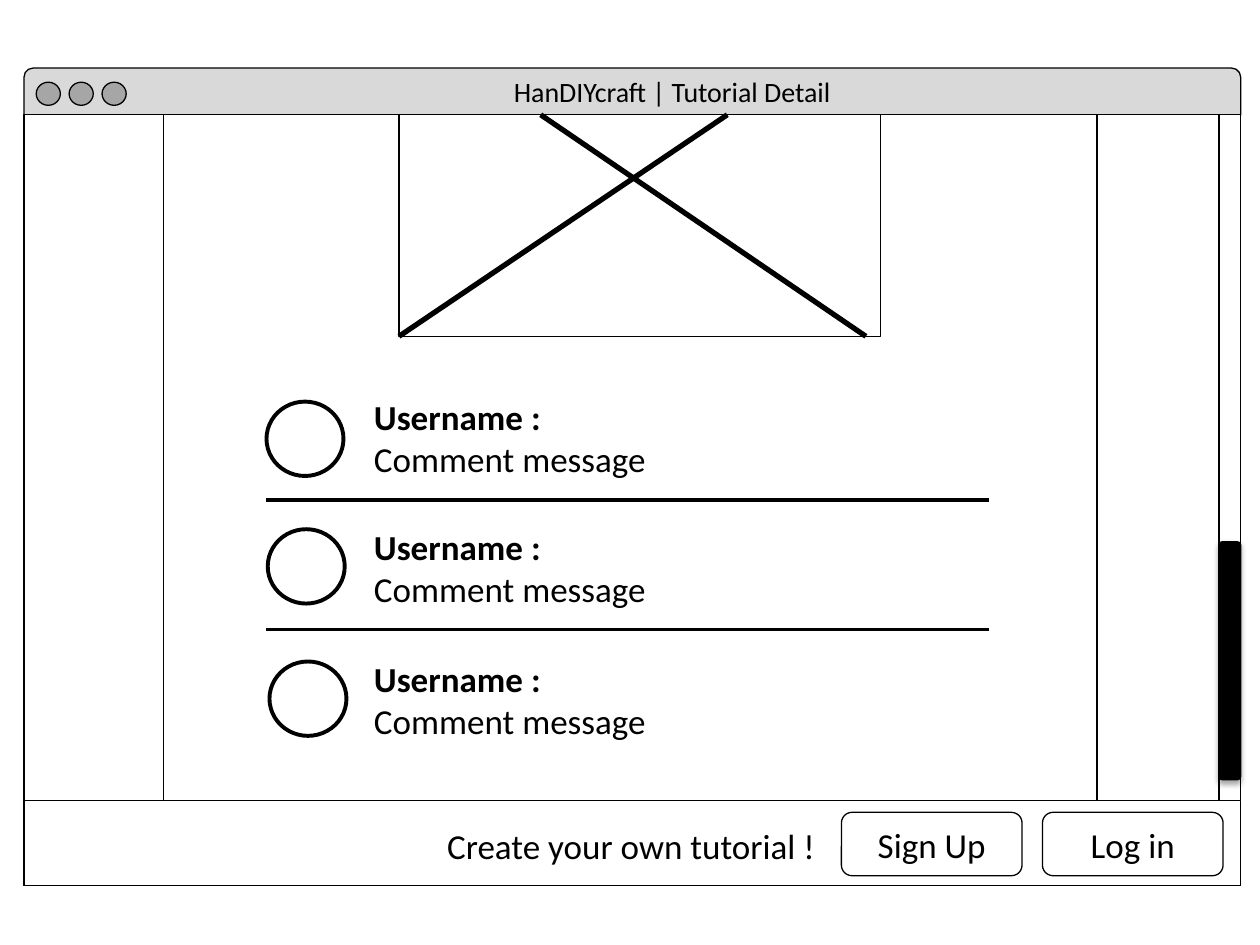
from lxml import etree
from pptx import Presentation
from pptx.dml.color import RGBColor
from pptx.enum.shapes import MSO_CONNECTOR, MSO_SHAPE
from pptx.enum.text import MSO_ANCHOR, MSO_AUTO_SIZE, PP_ALIGN
from pptx.oxml import parse_xml
from pptx.oxml.ns import qn
from pptx.util import Pt

RECT, ROUND, OVAL = MSO_SHAPE.RECTANGLE, MSO_SHAPE.ROUNDED_RECTANGLE, MSO_SHAPE.OVAL
STRAIGHT = MSO_CONNECTOR.STRAIGHT
TOP, MIDDLE = MSO_ANCHOR.TOP, MSO_ANCHOR.MIDDLE
LEFT, CENTER = PP_ALIGN.LEFT, PP_ALIGN.CENTER
GROW = MSO_AUTO_SIZE.SHAPE_TO_FIT_TEXT

# Content
WINDOW_TITLE = "HanDIYcraft | Tutorial Detail"
INVITATION = "Create your own tutorial !"
BUTTONS = ["Sign Up", "Log in"]
# (username, message, text top, avatar left, avatar top)
COMMENTS = [
    ("Username :", "Comment message", 222.5, 152.3, 229.5),
    ("Username :", "Comment message", 296.9, 153, 302.4),
    ("Username :", "Comment message", 372.2, 154, 378),
]


class Theme:
    font = "Calibri"
    title_size, body_size = 16, 20
    ink = RGBColor(0, 0, 0)
    paper = RGBColor(255, 255, 255)
    bar = RGBColor(0xD9, 0xD9, 0xD9)
    dot = RGBColor(0xA6, 0xA6, 0xA6)
    thin, rule, avatar, cross = 0.75, 2, 2.25, 3


# Layout, in points
WINDOW_LEFT, WINDOW_TOP, WINDOW_WIDTH, WINDOW_HEIGHT = 13.7, 65.6, 695.3, 440.4
WINDOW_RIGHT = WINDOW_LEFT + WINDOW_WIDTH
BAR_TOP = 38.9
SCROLL_WIDTH = 12.4
SCROLL_LEFT = WINDOW_RIGHT - SCROLL_WIDTH
FOOTER_TOP = 457.3
FOOTER_HEIGHT = WINDOW_TOP + WINDOW_HEIGHT - FOOTER_TOP
DOT_LEFT, DOT_PITCH = 20.7, 18.8
BUTTON_LEFT, BUTTON_PITCH = 480.8, 114.9
PHOTO_LEFT, PHOTO_WIDTH, PHOTO_HEIGHT = 228, 275.3, 126.6
PHOTO_BOTTOM = WINDOW_TOP + PHOTO_HEIGHT
RULE_TOPS = [285.8, 359.8]


def add_shape(slide, kind, left, top, width, height, fill=None, line=Theme.thin):
    shape = slide.shapes.add_shape(kind, Pt(left), Pt(top), Pt(width), Pt(height))
    shape.shadow.inherit = False
    if fill is None:
        shape.fill.background()
    else:
        shape.fill.solid()
        shape.fill.fore_color.rgb = fill
    shape.line.color.rgb = Theme.ink
    shape.line.width = Pt(line)
    return shape


def add_line(slide, x1, y1, x2, y2, width):
    line = slide.shapes.add_connector(STRAIGHT, Pt(x1), Pt(y1), Pt(x2), Pt(y2))
    line.line.color.rgb = Theme.ink
    line.line.width = Pt(width)
    etree.SubElement(line.element.spPr, qn("a:effectLst"))


def write(shape, lines, size=Theme.body_size, align=LEFT, anchor=TOP, bold_first=False):
    frame = shape.text_frame
    frame.word_wrap = True
    frame.vertical_anchor = anchor
    frame.text = "\n".join(lines)
    for index, paragraph in enumerate(frame.paragraphs):
        paragraph.alignment = align
        font = paragraph.font
        font.name, font.size = Theme.font, Pt(size)
        font.bold = bold_first and index == 0
        font.color.rgb = Theme.ink


def add_text(slide, left, top, width, height, lines, **style):
    box = slide.shapes.add_textbox(Pt(left), Pt(top), Pt(width), Pt(height))
    write(box, lines, **style)
    box.text_frame.auto_size = GROW


def add_soft_shadow(shape):
    effects = shape.element.spPr.find(qn("a:effectLst"))
    effects.append(parse_xml(
        '<a:outerShdw xmlns:a="http://schemas.openxmlformats.org/drawingml/2006/main"'
        ' blurRad="40000" dist="23000" dir="5400000" rotWithShape="0">'
        '<a:srgbClr val="000000"><a:alpha val="35000"/></a:srgbClr></a:outerShdw>'))


def add_window(slide):
    bar = add_shape(slide, ROUND, WINDOW_LEFT, BAR_TOP, WINDOW_WIDTH, 31.7, Theme.bar)
    add_shape(slide, RECT, WINDOW_LEFT, WINDOW_TOP, WINDOW_WIDTH, WINDOW_HEIGHT, Theme.paper)
    for index in range(3):
        add_shape(slide, OVAL, DOT_LEFT + index * DOT_PITCH, 47, 13.8, 13.2, Theme.dot)
    add_shape(slide, RECT, 93.4, WINDOW_TOP, 533.5, WINDOW_HEIGHT, Theme.paper)
    add_shape(slide, RECT, SCROLL_LEFT, WINDOW_TOP, SCROLL_WIDTH, WINDOW_HEIGHT, Theme.paper)
    thumb = add_shape(slide, ROUND, SCROLL_LEFT, 309.6, SCROLL_WIDTH, 136, Theme.ink)
    add_soft_shadow(thumb)

    title = slide.shapes.title
    title.left, title.top, title.width, title.height = Pt(286.4), Pt(38.9), Pt(235.4), Pt(26.7)
    write(title, [WINDOW_TITLE], size=Theme.title_size)
    title.text_frame.auto_size = GROW
    bar.element.addnext(title.element)  # the title sits in front of the bar


def add_comments(slide):
    for username, message, text_top, avatar_left, avatar_top in COMMENTS:
        add_text(slide, 206.6, text_top, 240, 55.7, [username, message], bold_first=True)
        add_shape(slide, OVAL, avatar_left, avatar_top, 44, 42.5, line=Theme.avatar)
    for top in RULE_TOPS:
        add_line(slide, 152.3, top, 565.2, top, Theme.rule)


def add_footer(slide):
    add_shape(slide, RECT, WINDOW_LEFT, FOOTER_TOP, WINDOW_WIDTH, FOOTER_HEIGHT, Theme.paper)
    add_text(slide, 248.4, 467.6, 246.2, 31.5, [INVITATION])
    for index, label in enumerate(BUTTONS):
        left = BUTTON_LEFT + index * BUTTON_PITCH
        button = add_shape(slide, ROUND, left, 464.2, 103.2, 36.2)
        write(button, [label], align=CENTER, anchor=MIDDLE)


def add_photo_placeholder(slide):
    add_shape(slide, RECT, PHOTO_LEFT, WINDOW_TOP, PHOTO_WIDTH, PHOTO_HEIGHT)
    add_line(slide, 309, WINDOW_TOP, 494.8, PHOTO_BOTTOM, Theme.cross)
    add_line(slide, PHOTO_LEFT, PHOTO_BOTTOM, 415.6, WINDOW_TOP, Theme.cross)


def main():
    deck = Presentation()
    deck.slide_width, deck.slide_height = Pt(720), Pt(540)
    slide = deck.slides.add_slide(deck.slide_layouts[5])
    add_window(slide)
    add_comments(slide)
    add_footer(slide)
    add_photo_placeholder(slide)
    deck.save("out.pptx")


if __name__ == "__main__":
    main()
